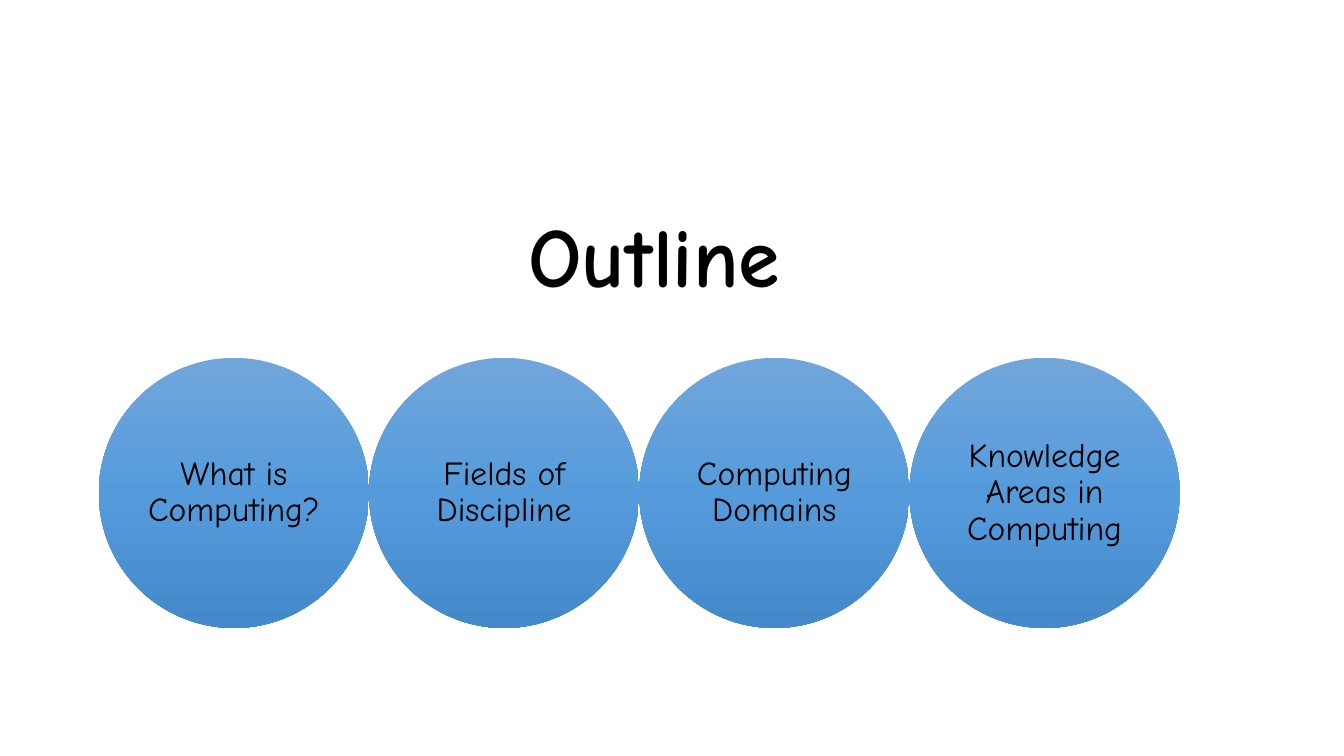
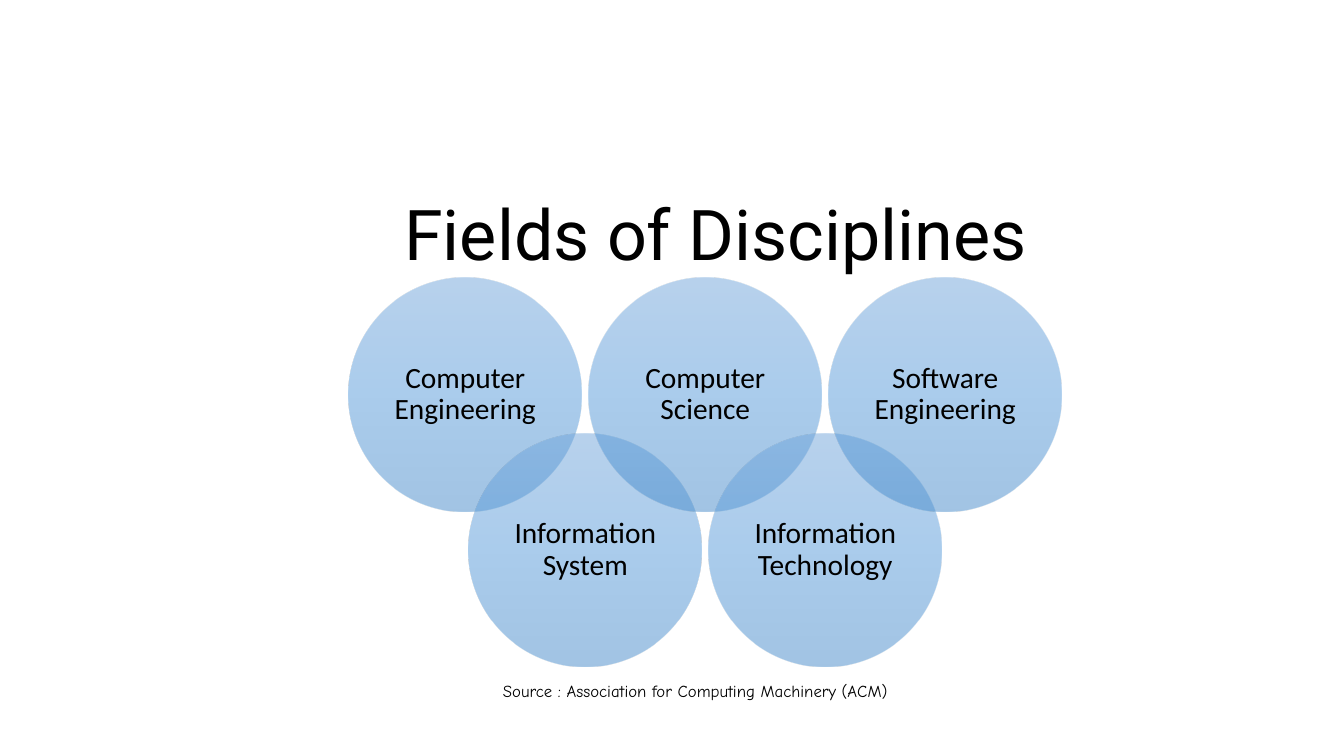
from lxml import etree
from pptx import Presentation
from pptx.dml.color import RGBColor
from pptx.enum.shapes import MSO_SHAPE
from pptx.enum.text import MSO_ANCHOR, PP_ALIGN
from pptx.oxml.ns import qn
from pptx.util import Inches, Pt

OVAL = MSO_SHAPE.OVAL
LEFT, CENTER = PP_ALIGN.LEFT, PP_ALIGN.CENTER
TOP, MIDDLE, BOTTOM = MSO_ANCHOR.TOP, MSO_ANCHOR.MIDDLE, MSO_ANCHOR.BOTTOM

SLIDE_W, SLIDE_H = 13.33, 7.5
TITLE_W = 10.96
BLACK = "000000"
BLUES = ((0, "71A6DB"), (50, "559BDB"), (100, "448ACA"))
HAND, SANS, BODY = "Comic Neue", "Roboto", "Calibri"

TOPICS = ("What is Computing?", "Fields of Discipline",
          "Computing Domains", "Knowledge Areas in Computing")
FIELDS = ("Computer Engineering", "Information System", "Computer Science",
          "Information Technology", "Software Engineering")


def rgb(value):
    return RGBColor.from_string(value)


def write(sp, text, font, size, bold=False, align=CENTER, anchor=MIDDLE,
          spacing=0.9, inset=None):
    tf = sp.text_frame
    tf.word_wrap = True
    tf.vertical_anchor = anchor
    if inset is not None:
        tf.margin_left = tf.margin_right = Inches(inset)
        tf.margin_top = tf.margin_bottom = Inches(inset)
    p = tf.paragraphs[0]
    p.alignment = align
    p.line_spacing = spacing
    r = p.add_run()
    r.text = text
    r.font.name = font
    r.font.size = Pt(size)
    r.font.bold = bold
    r.font.color.rgb = rgb(BLACK)


def add_text(s, x, y, w, h, text, **style):
    sp = s.shapes.add_textbox(Inches(x), Inches(y), Inches(w), Inches(h))
    write(sp, text, **style)


def add_title(s, x, y, h, text, **style):
    add_text(s, x, y, TITLE_W, h, text, anchor=BOTTOM, **style)


def fill_blues(sp, opacity):
    sp.fill.gradient()
    sp.fill.gradient_angle = 270
    stops = sp.fill._xPr.find(".//" + qn("a:gsLst"))
    for stop in list(stops):
        stops.remove(stop)
    for position, colour in BLUES:
        stop = etree.SubElement(stops, qn("a:gs"), pos=str(position * 1000))
        clr = etree.SubElement(stop, qn("a:srgbClr"), val=colour)
        if opacity < 100:
            etree.SubElement(clr, qn("a:alpha"), val=str(opacity * 1000))


def add_circle(s, x, y, d, text, opacity=100, **style):
    sp = s.shapes.add_shape(OVAL, Inches(x), Inches(y), Inches(d), Inches(d))
    sp.shadow.inherit = False
    sp.line.fill.background()
    fill_blues(sp, opacity)
    write(sp, text, **style)


def add_outline(s):
    left, top, d = 0.98, 3.55, 2.68
    add_title(s, 1.01, 1.92, 1.16, "Outline", font=HAND, size=60, bold=True)
    for i, topic in enumerate(TOPICS):
        add_circle(s, left + i * d, top, d, topic,
                   font=HAND, size=24, inset=0)


def add_fields(s):
    left, top, d = 3.46, 2.76, 2.31
    step, drop = 1.19, 1.54
    add_title(s, 1.62, 1.79, 0.99, "Fields of Disciplines",
              font=SANS, size=50)
    for i, field in enumerate(FIELDS):
        add_circle(s, left + i * step, top + i % 2 * drop, d, field,
                   opacity=50, font=BODY, size=21, inset=0.09)
    add_text(s, 4.89, 6.7, 4.42, 0.3,
             "Source : Association for Computing Machinery (ACM)",
             font=HAND, size=12, align=LEFT, anchor=TOP, spacing=1.0)


def main():
    prs = Presentation()
    prs.slide_width, prs.slide_height = Inches(SLIDE_W), Inches(SLIDE_H)
    blank = prs.slide_layouts[6]
    for build in (add_outline, add_fields):
        build(prs.slides.add_slide(blank))
    prs.save("out.pptx")


if __name__ == "__main__":
    main()
